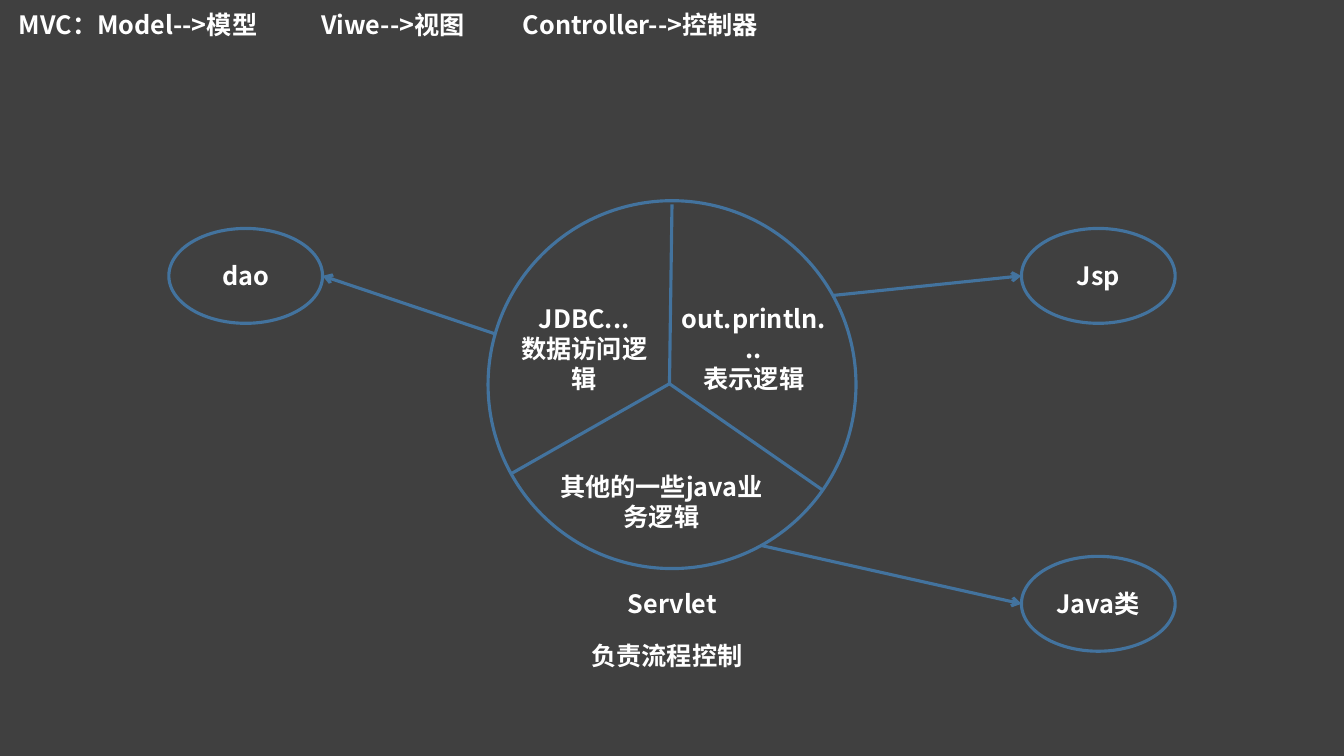
import math

import pptx
import pptx.dml.color
import pptx.enum.shapes
import pptx.enum.text
import pptx.oxml
import pptx.oxml.ns
import pptx.util

COLS, ROWS = 160, 90
CELL = 13.33 / COLS
FONT = "Noto Sans CJK SC"
BACK, BLUE, WHITE = "404040", "43739E", "FFFFFF"
HUB = (79.7, 45.7)
MID, RAD = (80, 45.8), 21.9
OVAL = (18.3, 11.3)
CENTER = pptx.enum.text.PP_ALIGN.CENTER


def grid(*cells):
    """Turn grid cells into lengths."""
    return [pptx.util.Inches(n * CELL) for n in cells]


def color(code):
    return pptx.dml.color.RGBColor.from_string(code)


def element(parent, tag, **attrs):
    node = pptx.oxml.parse_xml(f"<{tag} {pptx.oxml.ns.nsdecls('a')}/>")
    for name, value in attrs.items():
        node.set(name, value)
    parent.append(node)
    return node


def write(frame, lines, align=CENTER, stops=()):
    frame.word_wrap = True
    for i, line in enumerate(lines):
        para = frame.paragraphs[0] if i == 0 else frame.add_paragraph()
        if stops:
            tabs = element(para._p.get_or_add_pPr(), "a:tabLst")
            for stop in grid(*stops):
                element(tabs, "a:tab", pos=str(stop), algn="l")
        para.alignment = align
        run = para.add_run()
        run.text = line
        run.font.size = pptx.util.Pt(18)
        run.font.bold = True
        run.font.color.rgb = color(WHITE)
        run.font.name = FONT
        element(run._r.get_or_add_rPr(), "a:ea", typeface=FONT)


def label(slide, left, top, width, height, *lines, **style):
    box = slide.shapes.add_textbox(*grid(left, top, width, height))
    write(box.text_frame, lines, **style)


def ring(slide, mid, width, height, text=None):
    """Draw an outlined ellipse around a middle point."""
    kind = pptx.enum.shapes.MSO_SHAPE.OVAL
    left, top = mid[0] - width / 2, mid[1] - height / 2
    shape = slide.shapes.add_shape(kind, *grid(left, top, width, height))
    shape.shadow.inherit = False
    shape.fill.background()
    shape.line.color.rgb = color(BLUE)
    shape.line.width = pptx.util.Pt(2.25)
    if text:
        frame = shape.text_frame
        frame.margin_left = frame.margin_right = 0
        frame.vertical_anchor = pptx.enum.text.MSO_ANCHOR.MIDDLE
        write(frame, [text])


def link(slide, start, end, arrow=False):
    kind = pptx.enum.shapes.MSO_CONNECTOR.STRAIGHT
    line = slide.shapes.add_connector(kind, *grid(*start, *end))
    line.line.color.rgb = color(BLUE)
    line.line.width = pptx.util.Pt(2.25)
    if arrow:
        element(line.line._get_or_add_ln(), "a:tailEnd", type="arrow")
    element(line._element.spPr, "a:effectLst")


def rim(angle, reach=1):
    """Find a point on the big circle, in degrees clockwise from the right."""
    turn, far = math.radians(angle), RAD * reach
    return MID[0] + far * math.cos(turn), MID[1] + far * math.sin(turn)


def main():
    deck = pptx.Presentation()
    deck.slide_width = pptx.util.Inches(13.33)
    deck.slide_height = pptx.util.Inches(7.5)
    slide = deck.slides.add_slide(deck.slide_layouts[6])
    slide.background.fill.solid()
    slide.background.fill.fore_color.rgb = color(BACK)

    label(slide, 1.05, 0.5, 157.8, 12.1,
          "MVC：Model-->模型\tViwe-->视图\tController-->控制器",
          align=pptx.enum.text.PP_ALIGN.LEFT, stops=(36, 60))

    ring(slide, MID, 2 * RAD, 2 * RAD)
    for angle, reach in ((35, 1), (151, 1), (270, 0.98)):
        link(slide, HUB, rim(angle, reach))
    label(slide, 59.6, 35.5, 19.9, 12.1, "JDBC...", "数据访问逻辑")
    label(slide, 79.8, 35.5, 19.9, 12.1, "out.println...", "表示逻辑")
    label(slide, 64.1, 55.5, 29.3, 8.5, "其他的一些java业务逻辑")
    label(slide, 65.4, 69.5, 29.3, 4.8, "Servlet")
    label(slide, 68.2, 75.6, 22.4, 4.8, "负责流程控制")

    # Each part: name, side of the circle, row, angle where its arrow starts
    parts = (("dao", -1, 32.85, 196), ("Jsp", 1, 32.85, -29),
             ("Java类", 1, 71.9, 61))
    for name, side, row, angle in parts:
        mid = (MID[0] + side * 50.75, row)
        ring(slide, mid, *OVAL, name)
        link(slide, rim(angle), (mid[0] - side * OVAL[0] / 2, row), True)

    deck.save("out.pptx")


if __name__ == "__main__":
    main()
